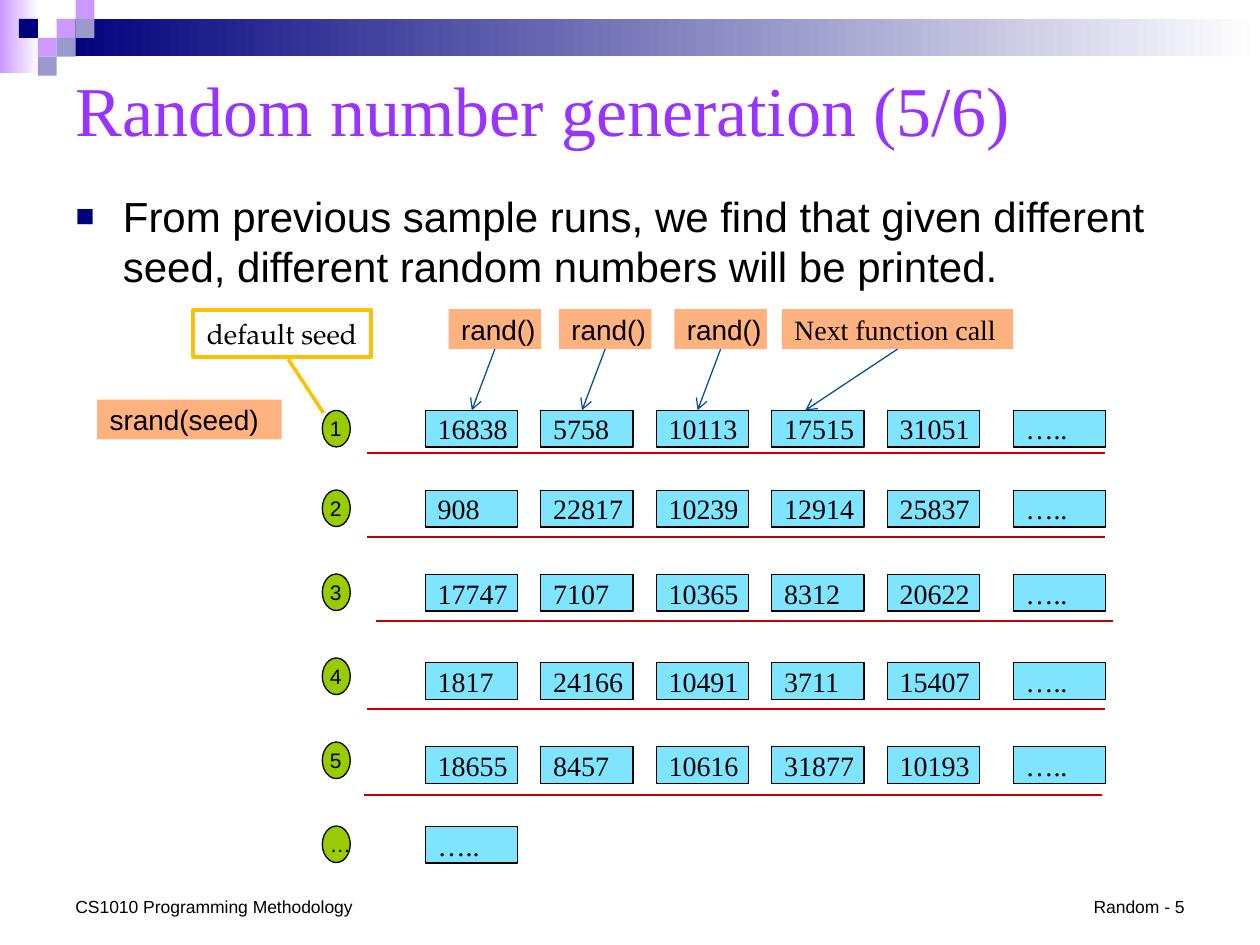
"""Build the slide on random number sequences produced by different seeds."""
import pptx
import pptx.dml.color
import pptx.enum.shapes
import pptx.enum.text
import pptx.oxml
import pptx.oxml.ns
import pptx.util

Pt = pptx.util.Pt
RGBColor = pptx.dml.color.RGBColor
SHAPE = pptx.enum.shapes.MSO_SHAPE
ALIGN = pptx.enum.text.PP_ALIGN
ANCHOR = pptx.enum.text.MSO_ANCHOR
AUTO_SIZE = pptx.enum.text.MSO_AUTO_SIZE
qn = pptx.oxml.ns.qn
NAMESPACE = pptx.oxml.ns.nsdecls("a")

BLACK = RGBColor(0x00, 0x00, 0x00)
WHITE = RGBColor(0xFF, 0xFF, 0xFF)
NAVY = RGBColor(0x00, 0x00, 0x7D)
LILAC = RGBColor(0xCC, 0x99, 0xFF)
GREY_BLUE = RGBColor(0x99, 0x99, 0xCC)
PURPLE = RGBColor(0x99, 0x33, 0xFF)
ORANGE = RGBColor(0xFF, 0x66, 0x00)
GOLD = RGBColor(0xFF, 0xC0, 0x00)
CYAN = RGBColor(0x00, 0xCC, 0xFF)
GREEN = RGBColor(0x99, 0xCC, 0x00)
RED = RGBColor(0xC0, 0x00, 0x00)
ARROW_BLUE = RGBColor(0x09, 0x52, 0x95)
SANS, SERIF, CALLOUT_FONT = "Arial", "Times New Roman", "TeX Gyre Pagella"


def add_shape(kind, box, fill=None, line=None, width=0.75, half_transparent=False):
    shape = slide.shapes.add_shape(kind, *map(Pt, box))
    shape.shadow.inherit = False
    if fill is None:
        shape.fill.background()
    else:
        shape.fill.solid()
        shape.fill.fore_color.rgb = fill
    if line is None:
        shape.line.fill.background()
    else:
        shape.line.color.rgb = line
        shape.line.width = Pt(width)
    if half_transparent:
        color = shape.element.spPr.find(qn("a:solidFill")).find(qn("a:srgbClr"))
        color.append(pptx.oxml.parse_xml(f'<a:alpha {NAMESPACE} val="50000"/>'))
    return shape


def write(shape, text, font, size, color=BLACK, align=ALIGN.LEFT,
          anchor=ANCHOR.MIDDLE, wrap=False, auto_size=AUTO_SIZE.NONE):
    frame = shape.text_frame
    frame.text = text
    frame.word_wrap = wrap
    frame.auto_size = auto_size
    frame.vertical_anchor = anchor
    paragraph = frame.paragraphs[0]
    paragraph.alignment = align
    run_font = paragraph.runs[0].font
    run_font.name = font
    run_font.size = Pt(size)
    run_font.color.rgb = color
    return paragraph


presentation = pptx.Presentation()
presentation.slide_width, presentation.slide_height = Pt(720), Pt(540)
slide = presentation.slides.add_slide(presentation.slide_layouts[1])

for box, start in [((0, 0, 22.5, 42), LILAC), ((32.6, 10.8, 687.4, 21.4), NAVY)]:
    band = add_shape(SHAPE.RECTANGLE, box, start)
    band.fill.gradient()
    band.fill.gradient_angle = 0
    for stop, color in zip(band.fill.gradient_stops, (start, WHITE)):
        stop.color.rgb = color

SQUARE = 10.8
for column, row, color in [(3, 1, LILAC), (4, 0, LILAC), (4, 1, GREY_BLUE),
                           (2, 2, LILAC), (1, 1, NAVY), (3, 2, GREY_BLUE),
                           (2, 3, GREY_BLUE)]:
    add_shape(SHAPE.RECTANGLE,
              (column * SQUARE, row * SQUARE, SQUARE, SQUARE), color)

for left, width, text, align in [
        (36, 174, "CS1010 Programming Methodology", ALIGN.LEFT),
        (574.5, 109.5, "Random - 5", ALIGN.RIGHT)]:
    footer = slide.shapes.add_textbox(Pt(left), Pt(508.3), Pt(width), Pt(19.4))
    write(footer, text, SANS, 10, align=align, anchor=ANCHOR.BOTTOM, wrap=True,
          auto_size=AUTO_SIZE.SHAPE_TO_FIT_TEXT)

title, body = slide.shapes.title, slide.placeholders[1]
for placeholder, box in [(title, (36, 30.2, 648, 63.4)), (body, (36, 105, 645, 65.5))]:
    (placeholder.left, placeholder.top,
     placeholder.width, placeholder.height) = map(Pt, box)
write(title, "Random number generation (5/6)", SERIF, 40, PURPLE, wrap=True)
paragraph = write(
    body, "From previous sample runs, we find that given different seed, "
    "different random numbers will be printed.", SANS, 24,
    anchor=ANCHOR.TOP, wrap=True, auto_size=AUTO_SIZE.SHAPE_TO_FIT_TEXT)
paragraph.space_before = paragraph.space_after = Pt(4.8)
properties = paragraph._p.get_or_add_pPr()
properties.set("marL", str(Pt(27)))
properties.set("indent", str(-Pt(27)))
for bullet in (f'<a:buClr {NAMESPACE}><a:srgbClr val="{NAVY}"/></a:buClr>',
               f'<a:buSzPct {NAMESPACE} val="75000"/>',
               f'<a:buFont {NAMESPACE} typeface="{SANS}"/>',
               f'<a:buChar {NAMESPACE} char="■"/>'):
    properties.append(pptx.oxml.parse_xml(bullet))

seed_call = add_shape(SHAPE.RECTANGLE, (55.6, 228.4, 105.4, 22.8), ORANGE,
                      half_transparent=True)
write(seed_call, "srand(seed)", SANS, 16)
callout = add_shape(SHAPE.LINE_CALLOUT_1, (110.4, 177.3, 101.5, 26.7),
                    line=GOLD, width=2)
for index, value in enumerate((1.05, 0.535, 2.201, 0.734)):
    callout.adjustments[index] = value
write(callout, "default seed", CALLOUT_FONT, 16, align=ALIGN.CENTER, wrap=True)

CELL_WIDTH, CELL_HEIGHT = 52.8, 20.9
column_lefts = [243, 309, 375, 441, 507, 579]
sequences = [
    ("1", 234.5, 234.5, ["16838", "5758", "10113", "17515", "31051", "….."]),
    ("2", 280, 280.3, ["908", "22817", "10239", "12914", "25837", "….."]),
    ("3", 328, 328.3, ["17747", "7107", "10365", "8312", "20622", "….."]),
    ("4", 376, 378.7, ["1817", "24166", "10491", "3711", "15407", "….."]),
    ("5", 424, 426.7, ["18655", "8457", "10616", "31877", "10193", "….."]),
    ("…", 472, 472.3, ["….."]),
]
for seed, seed_top, row_top, numbers in sequences:
    add_shape(SHAPE.OVAL, (184.2, seed_top, 16, CELL_HEIGHT), GREEN, BLACK)
    label = slide.shapes.add_textbox(Pt(181.4), Pt(seed_top - 0.5), Pt(21.6), Pt(21.8))
    write(label, seed, SANS, 12, anchor=ANCHOR.TOP,
          auto_size=AUTO_SIZE.SHAPE_TO_FIT_TEXT)
    for left, number in zip(column_lefts, numbers):
        cell = add_shape(SHAPE.RECTANGLE, (left, row_top, CELL_WIDTH, CELL_HEIGHT),
                         CYAN, BLACK, half_transparent=True)
        write(cell, number, SERIF, 16)

lines = [(left, top, left + 421.6, top, RED, 1) for left, top in
         [(209.8, 258.7), (209.8, 306.7), (214.6, 354.7), (209.8, 405.1), (208, 454.2)]]
for left, width, text, font, slant in [
        (256.4, 52.8, "rand()", SANS, 13.2), (319.4, 52.8, "rand()", SANS, 13.2),
        (385.4, 52.8, "rand()", SANS, 13.2),
        (446.8, 132.2, "Next function call", SERIF, 52.8)]:
    call = add_shape(SHAPE.RECTANGLE, (left, 176.7, width, 22.8), ORANGE,
                     half_transparent=True)
    write(call, text, font, 16)
    center = left + width / 2
    lines.append((center, 199.5, center - slant, 234.5, ARROW_BLUE, 0.75))

for *ends, color, width in lines:
    connector = slide.shapes.add_connector(
        pptx.enum.shapes.MSO_CONNECTOR.STRAIGHT, *map(Pt, ends))
    connector.line.color.rgb = color
    connector.line.width = Pt(width)
    shape_properties = connector.element.spPr
    if color == ARROW_BLUE:
        shape_properties.find(qn("a:ln")).append(
            pptx.oxml.parse_xml(f'<a:tailEnd {NAMESPACE} type="arrow"/>'))
    shape_properties.append(pptx.oxml.parse_xml(f"<a:effectLst {NAMESPACE}/>"))

presentation.save("out.pptx")
